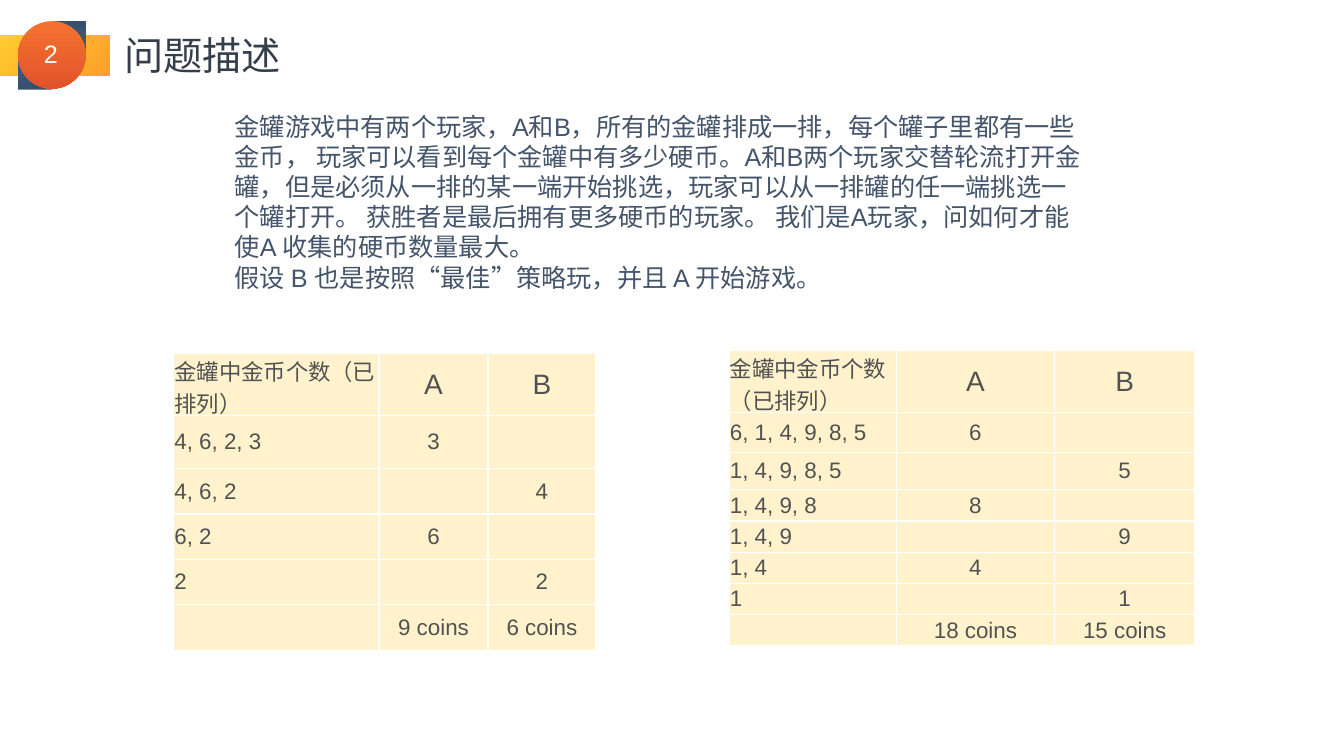
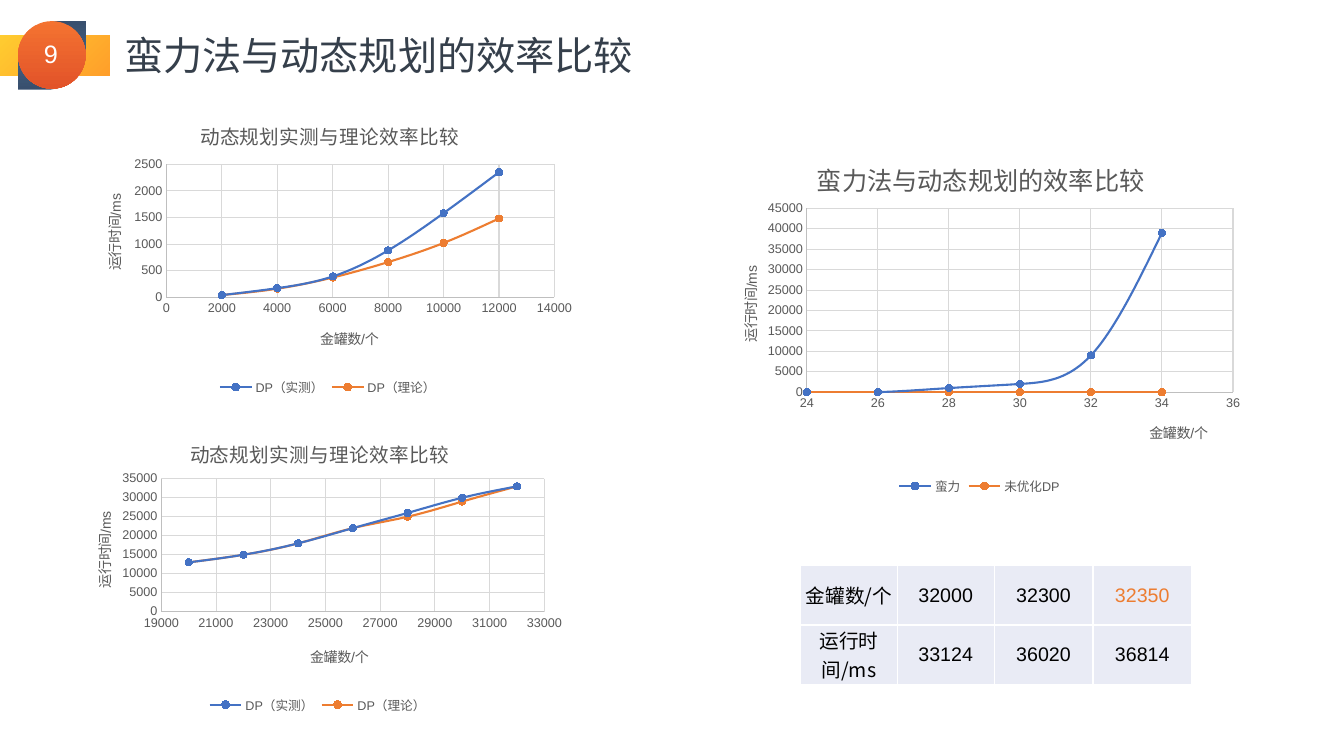
from lxml import etree
from pptx import Presentation
from pptx import util as u
from pptx.chart.data import XyChartData
from pptx.dml.color import RGBColor
from pptx.enum import chart as charts
from pptx.enum import shapes, text
from pptx.oxml import parse_xml
from pptx.oxml.ns import nsdecls, qn

PX = 9144  # EMU per px, 100 px to the inch
LATIN, HAN = "Arial", "Noto Sans CJK SC"
COLORS = {
    "white": "FFFFFF", "title": "353F4B", "body": "44546A", "cell": "525252",
    "black": "000000", "cream": "FFF2CC", "lilac": "E9EBF5",
    "blue": "4472C4", "orange": "ED7D31",
    "label": "595959", "axis": "BFBFBF", "grid": "D9D9D9",
}
LEFT, CENTER = text.PP_ALIGN.LEFT, text.PP_ALIGN.CENTER

# ---- Content ----
# shape, box, first colour, last colour, gradient angle, rotation
BADGE = [
    (shapes.MSO_SHAPE.RECTANGLE, (0, 35, 109, 40), "FFCC30", "FF9F2A", 315, 0),
    (shapes.MSO_SHAPE.TEAR, (28, 21, 58, 58), "384F6E", "4A6C90", 270, 0),
    (shapes.MSO_SHAPE.TEAR, (18, 31, 58, 58), "384F6E", "4A6C90", 270, 180),
    (shapes.MSO_SHAPE.OVAL, (18, 21, 67, 67), "F47331", "E25329", 270, 0),
]
TITLE_BOX = (113, 26, 1150, 57)
NUMBER_BOX = (25, 33, 51, 40)

RULES_BOX = (223, 105, 859, 222)
RULES = (
    "金罐游戏中有两个玩家，A和B，所有的金罐排成一排，每个罐子里都有一些金币， "
    "玩家可以看到每个金罐中有多少硬币。A和B两个玩家交替轮流打开金罐，"
    "但是必须从一排的某一端开始挑选，玩家可以从一排罐的任一端挑选一个罐打开。 "
    "获胜者是最后拥有更多硬币的玩家。 我们是A玩家，问如何才能使A 收集的硬币数量最大。\n"
    "假设 B 也是按照“最佳”策略玩，并且 A 开始游戏。"
)
POTS_HEAD = ("金罐中金币个数（已排列）", "A", "B")
GAMES = [
    {"at": (172, 351), "cols": (204, 108, 107), "rows": (61, 53, 45, 45, 45, 45),
     "cells": [POTS_HEAD, ("4, 6, 2, 3", "3", ""), ("4, 6, 2", "", "4"),
               ("6, 2", "6", ""), ("2", "", "2"), ("", "9 coins", "6 coins")]},
    {"at": (723, 348), "cols": (166, 157, 139), "rows": (61, 40, 37) + (31,) * 5,
     "cells": [POTS_HEAD, ("6, 1, 4, 9, 8, 5", "6", ""), ("1, 4, 9, 8, 5", "", "5"),
               ("1, 4, 9, 8", "8", ""), ("1, 4, 9", "", "9"), ("1, 4", "4", ""),
               ("1", "", "1"), ("", "18 coins", "15 coins")]},
]
LIMITS = {"at": (794, 561), "cols": (96, 96, 98, 98), "rows": (59, 59),
          "cells": [("金罐数/个", "32000", "32300", "32350"),
                    ("运行时间/ms", "33124", "36020", "36814")]}

X_TITLE, Y_TITLE = "金罐数/个", "运行时间/ms"
DP_TITLE = "动态规划实测与理论效率比较"
VERSUS_TITLE = "蛮力法与动态规划的效率比较"
DP_PLACES = {"title": (.24, .06), "x_title": (.48, .75), "y_title": (.05, .31)}
# axes: minimum, maximum, step; places: fractions of the chart
CHARTS = [
    {"box": (704, 130, 535, 365), "title": VERSUS_TITLE, "size": 18,
     "x": range(24, 35, 2), "x_axis": (24, 36, 2), "y_axis": (0, 45000, 5000),
     "series": {"蛮力": (0, 0, 1000, 2000, 9000, 39000), "未优化DP": (0,) * 6},
     "plot": (.18, .21, .79, .5),
     "places": {"title": (.19, .06), "x_title": (.81, .78), "y_title": (.05, .36)}},
    {"box": (75, 97, 500, 300), "title": DP_TITLE, "size": 14,
     "x": range(2000, 12001, 2000), "x_axis": (0, 14000, 2000), "y_axis": (0, 2500, 500),
     "series": {"DP（实测）": (40, 170, 390, 880, 1580, 2350),
                "DP（理论）": (40, 160, 370, 660, 1020, 1480)},
     "plot": (.18, .22, .77, .44), "places": DP_PLACES},
    {"box": (65, 412, 500, 300), "title": DP_TITLE, "size": 14,
     "x": range(20000, 32001, 2000), "x_axis": (19000, 33000, 2000),
     "y_axis": (0, 35000, 5000),
     "series": {"DP（实测）": (13000, 15000, 18000, 22000, 26000, 30000, 33000),
                "DP（理论）": (13000, 15000, 18000, 22000, 25000, 29000, 33000)},
     "plot": (.19, .21, .76, .44), "places": DP_PLACES},
]


# ---- Helpers ----
def px(values):
    return [u.Emu(value * PX) for value in values]


def rgb(name):
    return RGBColor.from_string(COLORS.get(name, name))


def write(frame, words, size, color, font=LATIN, align=None, line_pt=None):
    for index, line in enumerate(words.split("\n")):
        paragraph = frame.add_paragraph() if index else frame.paragraphs[0]
        if align is not None:
            paragraph.alignment = align
        if line_pt:
            paragraph.line_spacing = u.Pt(line_pt)
        if not line:
            paragraph._p.get_or_add_endParaRPr().set("sz", str(size * 100))
            continue
        run = paragraph.add_run()
        run.text = line
        run.font.size, run.font.bold, run.font.name = u.Pt(size), False, font
        run.font.color.rgb = rgb(color)
        etree.SubElement(run._r.get_or_add_rPr(), qn("a:ea")).set("typeface", HAN)


def add_text(slide, box, words, wrap=True, **form):
    frame = slide.shapes.add_textbox(*px(box)).text_frame
    frame.word_wrap = wrap
    write(frame, words, **form)


# ---- Shared layout and header ----
def dress_layout(layout, slide):
    """Draws the badge on the slide, then hands it to the layout."""
    for kind, box, first, last, angle, turn in BADGE:
        part = slide.shapes.add_shape(kind, *px(box))
        part.shadow.inherit = False
        part.rotation = turn
        part.line.fill.background()
        part.fill.gradient()
        part.fill.gradient_angle = angle
        for stop, color in zip(part.fill.gradient_stops, (first, last)):
            stop.color.rgb = rgb(color)
        layout.shapes._spTree.append(part._element)
    title = layout.placeholders[0]
    title.left, title.top, title.width, title.height = px(TITLE_BOX)


def add_header(slide, number, words):
    frame = slide.shapes.title.text_frame
    frame.vertical_anchor = text.MSO_ANCHOR.MIDDLE
    frame.auto_size = text.MSO_AUTO_SIZE.NONE
    write(frame, words, 28, "title", font=HAN, align=LEFT)
    add_text(slide, NUMBER_BOX, number, wrap=False, size=18, color="white", align=CENTER)


# ---- Tables ----
def add_grid(slide, grid, fill, form):
    """form(row, column, words) gives the text format of a cell."""
    cols, rows = grid["cols"], grid["rows"]
    box = px((*grid["at"], sum(cols), sum(rows)))
    table = slide.shapes.add_table(len(rows), len(cols), *box).table
    for column, width in zip(table.columns, px(cols)):
        column.width = width
    for row, height in zip(table.rows, px(rows)):
        row.height = height
    for r, line in enumerate(grid["cells"]):
        for c, words in enumerate(line):
            cell = table.cell(r, c)
            cell.margin_left = cell.margin_right = u.Emu(PX)
            cell.margin_top = cell.margin_bottom = u.Emu(PX)
            cell.vertical_anchor = text.MSO_ANCHOR.MIDDLE
            cell.fill.solid()
            cell.fill.fore_color.rgb = rgb(fill)
            for index, side in enumerate("LRTB"):
                cell._tc.get_or_add_tcPr().insert(index, parse_xml(
                    f'<a:ln{side} {nsdecls("a")} w="12700"><a:solidFill>'
                    f'<a:srgbClr val="{COLORS["white"]}"/></a:solidFill></a:ln{side}>'))
            write(cell.text_frame, words, **form(r, c, words))


def game_form(r, c, words):
    return {"size": 20 if r == 0 and c else 16, "color": "cell",
            "align": CENTER if c else LEFT}


def limit_form(r, c, words):
    return {"size": 14, "color": "orange" if words == "32350" else "black",
            "font": LATIN if c else HAN, "align": CENTER}


# ---- Charts ----
def place(element, index, spot, inner=False):
    """Sets a manual layout as fractions of the chart."""
    for old in element.findall(qn("c:layout")):
        element.remove(old)
    parts = '<c:layoutTarget val="inner"/>' if inner else ""
    parts += '<c:xMode val="edge"/><c:yMode val="edge"/>'
    parts += "".join(f'<c:{key} val="{value}"/>' for key, value in zip("xywh", spot))
    element.insert(index, parse_xml(
        f'<c:layout {nsdecls("c")}><c:manualLayout>{parts}</c:manualLayout></c:layout>'))


def draw_line(line, color, width):
    line.color.rgb = rgb(color)
    line.width = u.Pt(width)


def add_curves(slide, content):
    data = XyChartData()
    for name, values in content["series"].items():
        curve = data.add_series(name)
        for x, y in zip(content["x"], values):
            curve.add_data_point(x, y)
    chart = slide.shapes.add_chart(
        charts.XL_CHART_TYPE.XY_SCATTER_SMOOTH, *px(content["box"]), data).chart
    chart.font.name, chart.font.size = LATIN, u.Pt(9)
    chart.font.color.rgb = rgb("label")
    chart.has_legend = True
    chart.legend.position = charts.XL_LEGEND_POSITION.BOTTOM
    chart.legend.include_in_layout = False

    x_axis, y_axis = chart.category_axis, chart.value_axis
    for axis, scale in ((x_axis, content["x_axis"]), (y_axis, content["y_axis"])):
        axis.minimum_scale, axis.maximum_scale, axis.major_unit = scale
        axis.major_tick_mark = axis.minor_tick_mark = charts.XL_TICK_MARK.NONE
        axis.has_major_gridlines = True
        draw_line(axis.major_gridlines.format.line, "grid", .75)
        draw_line(axis.format.line, "axis", .75)

    chart.has_title = True
    titles = {"title": (chart.chart_title, content["title"], content["size"]),
              "x_title": (x_axis.axis_title, X_TITLE, 10),
              "y_title": (y_axis.axis_title, Y_TITLE, 10)}
    for key, (title, words, size) in titles.items():
        write(title.text_frame, words, size, "label")
        place(title._element, 1, content["places"][key])
    turn = y_axis.axis_title.text_frame._txBody.bodyPr
    turn.set("rot", "-5400000")
    turn.set("vert", "horz")

    plot = chart.plots[0]
    plot.vary_by_categories = False
    for curve, color in zip(plot.series, ("blue", "orange")):
        curve._element.get_or_add_smooth().val = True
        draw_line(curve.format.line, color, 1.5)
        curve.marker.style, curve.marker.size = charts.XL_MARKER_STYLE.CIRCLE, 5
        curve.marker.format.fill.solid()
        curve.marker.format.fill.fore_color.rgb = rgb(color)
        draw_line(curve.marker.format.line, color, .75)
    place(chart._chartSpace.chart.plotArea, 0, content["plot"], inner=True)


# ---- Slides ----
def main():
    deck = Presentation()
    deck.slide_width, deck.slide_height = u.Inches(13.33), u.Inches(7.5)
    layout = deck.slide_layouts[5]

    problem = deck.slides.add_slide(layout)
    dress_layout(layout, problem)
    add_header(problem, "2", "问题描述")
    add_text(problem, RULES_BOX, RULES, size=18, color="body", line_pt=21.6)
    for game in GAMES:
        add_grid(problem, game, "cream", game_form)

    comparison = deck.slides.add_slide(layout)
    add_header(comparison, "9", VERSUS_TITLE)
    for content in CHARTS:
        add_curves(comparison, content)
    add_grid(comparison, LIMITS, "lilac", limit_form)

    deck.save("out.pptx")


if __name__ == "__main__":
    main()
